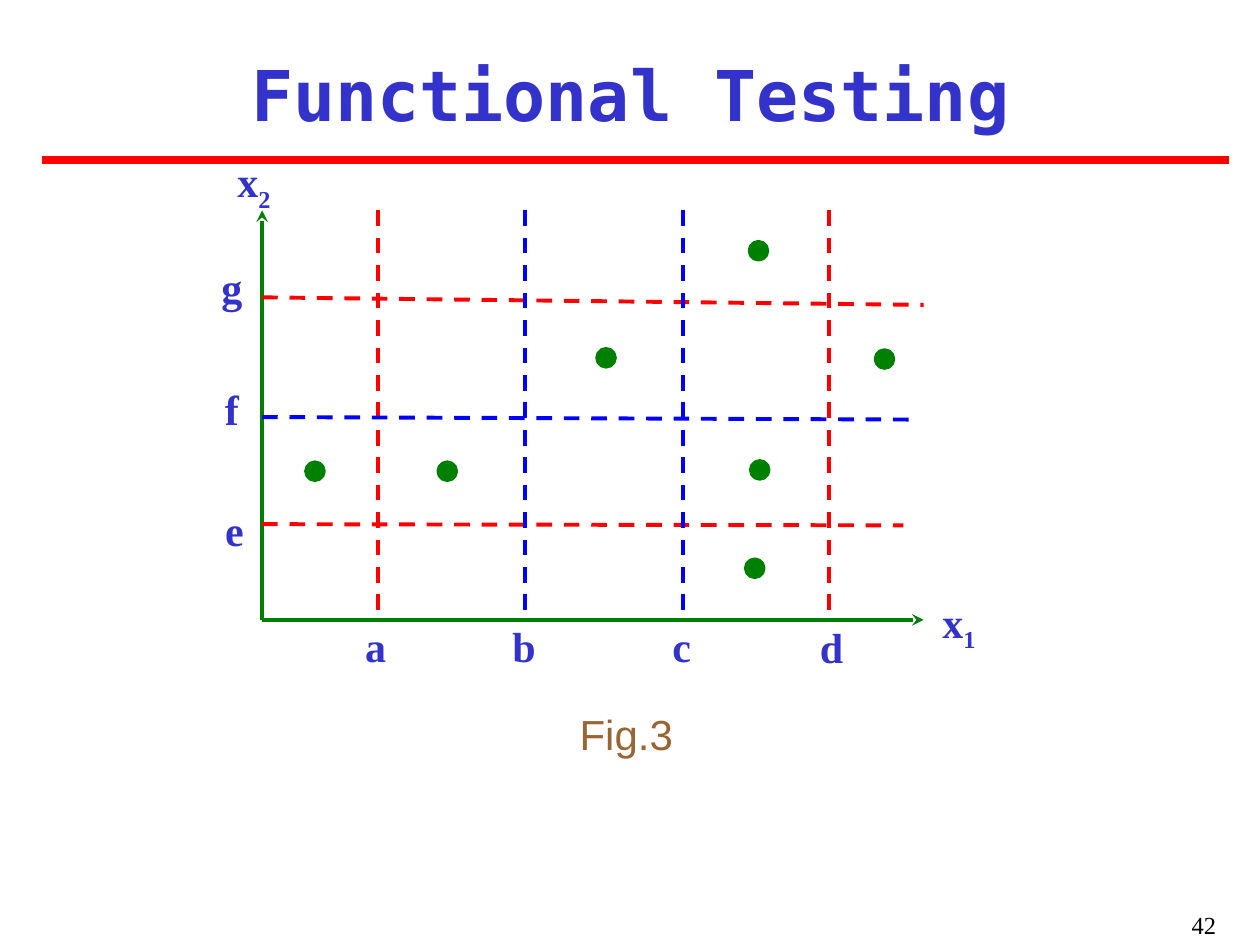
from dataclasses import dataclass
from typing import NamedTuple

from lxml.etree import SubElement
from pptx import Presentation
from pptx.dml.color import RGBColor
from pptx.enum.dml import MSO_LINE_DASH_STYLE as Dash
from pptx.enum.shapes import MSO_CONNECTOR as Connector, MSO_SHAPE as Shape
from pptx.enum.text import MSO_ANCHOR as Anchor, PP_ALIGN as Align
from pptx.oxml.ns import qn
from pptx.util import Inches, Pt


@dataclass(frozen=True)
class Theme:
    heading: RGBColor = RGBColor(0x33, 0x33, 0xCC)
    caption: RGBColor = RGBColor(0x99, 0x66, 0x33)
    number: RGBColor = RGBColor(0, 0, 0)
    green: RGBColor = RGBColor(0, 0x80, 0)
    red: RGBColor = RGBColor(0xFF, 0, 0)
    blue: RGBColor = RGBColor(0, 0, 0xFF)
    title_size: float = 40
    label_size: float = 24
    number_size: float = 14
    rule_width: float = 4.5
    line_width: float = 2.25
    mono: str = "DejaVu Sans Mono"
    serif: str = "Times New Roman"
    sans: str = "Arial"


THEME = Theme()


class Point(NamedTuple):
    x: float
    y: float


class Box(NamedTuple):
    left: float
    top: float
    width: float
    height: float

    def lengths(self) -> list:
        return [Inches(value) for value in self]


class Boundary(NamedTuple):
    """A dashed limit of an input variable, with its label."""
    label: str
    start: Point
    end: Point
    label_at: Point
    color: RGBColor


class TextStyle(NamedTuple):
    font: str
    size: float
    color: RGBColor
    bold: bool = False
    align: Align = Align.CENTER
    anchor: Anchor = Anchor.MIDDLE
    margins: tuple = (0, 0)


TITLE = TextStyle(THEME.mono, THEME.title_size, THEME.heading, True, margins=(0.02, 0.05))
LABEL = TextStyle(THEME.serif, THEME.label_size, THEME.heading, True)
CAPTION = TextStyle(THEME.sans, THEME.label_size, THEME.caption, anchor=Anchor.TOP)
NUMBER = TextStyle(THEME.serif, THEME.number_size, THEME.number,
                   align=Align.RIGHT, anchor=Anchor.TOP, margins=(0.1, 0.05))

ORIGIN = Point(2.08, 4.92)
AXIS_TOP, AXIS_RIGHT = 1.67, 7.33
LABEL_SIZE = (0.22, 0.25)
DOT_SIZE = 0.14


def vertical(label: str, x: float, label_at: Point, color: RGBColor) -> Boundary:
    return Boundary(label, Point(x, AXIS_TOP), Point(x, ORIGIN.y), label_at, color)


def horizontal(label: str, y: float, end: Point, label_at: Point, color: RGBColor) -> Boundary:
    return Boundary(label, Point(ORIGIN.x, y), end, label_at, color)


BOUNDARIES = [
    horizontal("g", 2.36, Point(7.33, 2.42), Point(1.73, 2.15), THEME.red),
    vertical("a", 3, Point(2.87, 5), THEME.red),
    vertical("d", 6.58, Point(6.49, 5.01), THEME.red),
    horizontal("e", 4.16, Point(7.17, 4.17), Point(1.75, 4.08), THEME.red),
    horizontal("f", 3.31, Point(7.25, 3.33), Point(1.73, 3.12), THEME.blue),
    vertical("b", 4.17, Point(4.05, 5), THEME.blue),
    vertical("c", 5.42, Point(5.3, 5), THEME.blue),
]
TEST_CASES = [Point(6.95, 2.78), Point(4.74, 2.77), Point(5.95, 1.92), Point(5.96, 3.66),
              Point(2.43, 3.67), Point(3.48, 3.67), Point(5.92, 4.44)]


def add_text(slide, box: Box, text: str, style: TextStyle, subscript: str = "") -> None:
    frame = slide.shapes.add_textbox(*box.lengths()).text_frame
    side, edge = (Inches(margin) for margin in style.margins)
    frame_format = {"word_wrap": True, "vertical_anchor": style.anchor,
                    "margin_left": side, "margin_right": side,
                    "margin_top": edge, "margin_bottom": edge}
    for name, value in frame_format.items():
        setattr(frame, name, value)
    paragraph = frame.paragraphs[0]
    paragraph.alignment = style.align
    font_format = {"name": style.font, "size": Pt(style.size), "bold": style.bold}
    for part in filter(None, (text, subscript)):
        run = paragraph.add_run()
        run.text = part
        for name, value in font_format.items():
            setattr(run.font, name, value)
        run.font.color.rgb = style.color
    if subscript:
        run.font._element.set("baseline", "-25000")


def add_line(slide, start: Point, end: Point, color: RGBColor,
             width: float = THEME.line_width, dashed: bool = False, arrow: bool = False) -> None:
    ends = [Inches(value) for value in (*start, *end)]
    connector = slide.shapes.add_connector(Connector.STRAIGHT, *ends)
    connector.line.color.rgb = color
    connector.line.width = Pt(width)
    if dashed:
        connector.line.dash_style = Dash.DASH
    if arrow:
        SubElement(connector.line._get_or_add_ln(), qn("a:tailEnd"), type="stealth")
    SubElement(connector._element.spPr, qn("a:effectLst"))


def add_dot(slide, at: Point) -> None:
    dot = slide.shapes.add_shape(Shape.OVAL, *Box(*at, DOT_SIZE, DOT_SIZE).lengths())
    dot.shadow.inherit = False
    dot.fill.solid()
    dot.fill.fore_color.rgb = THEME.green
    dot.line.color.rgb = THEME.green
    dot.line.width = Pt(THEME.line_width)


def main() -> None:
    deck = Presentation()
    deck.slide_width, deck.slide_height = Inches(10), Inches(7.5)
    slide = deck.slides.add_slide(deck.slide_layouts[6])

    # Title, rule, caption and slide number
    add_line(slide, Point(0.33, 1.27), Point(9.75, 1.27), THEME.red, THEME.rule_width)
    add_text(slide, Box(0.25, 0.33, 9.5, 0.83), "Functional Testing", TITLE)
    add_text(slide, Box(0.33, 5.62, 9.28, 0.4), "Fig.3", CAPTION)
    add_text(slide, Box(7.67, 7.17, 2.08, 0.33), "42", NUMBER)

    # Axes
    add_line(slide, ORIGIN, Point(ORIGIN.x, AXIS_TOP), THEME.green, arrow=True)
    add_line(slide, ORIGIN, Point(AXIS_RIGHT, ORIGIN.y), THEME.green, arrow=True)
    add_text(slide, Box(7.42, 4.75, 0.38, 0.42), "x", LABEL, subscript="1")
    add_text(slide, Box(1.78, 1.34, 0.47, 0.25), "x", LABEL, subscript="2")

    # Boundaries of the input ranges
    for boundary in BOUNDARIES:
        add_line(slide, boundary.start, boundary.end, boundary.color, dashed=True)
        add_text(slide, Box(*boundary.label_at, *LABEL_SIZE), boundary.label, LABEL)

    # Test cases
    for test_case in TEST_CASES:
        add_dot(slide, test_case)

    deck.save("out.pptx")


if __name__ == "__main__":
    main()
